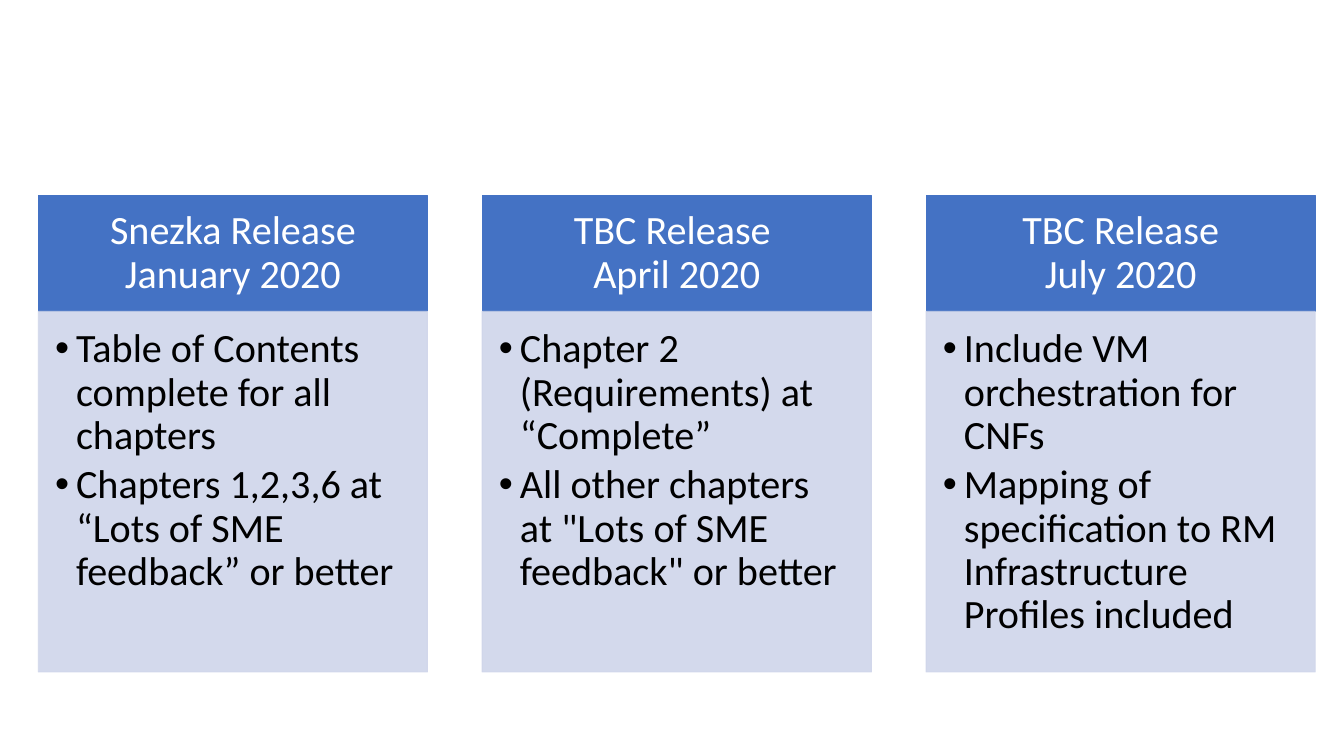
from lxml.etree import SubElement
from pptx import Presentation
from pptx.dml.color import RGBColor
from pptx.enum.shapes import MSO_SHAPE
from pptx.enum.text import MSO_ANCHOR, PP_ALIGN
from pptx.oxml.ns import qn
from pptx.util import Pt

BLUE = RGBColor(0x44, 0x72, 0xC4)
PALE_BLUE = RGBColor(0xCF, 0xD5, 0xEA)
WHITE = RGBColor(0xFF, 0xFF, 0xFF)
BLACK = RGBColor(0, 0, 0)

FONT = "Calibri"
FONT_SIZE = 43
LEFT, PITCH, WIDTH = 41, 475.6, 417
HEADER_TOP, HEADER_HEIGHT, BODY_HEIGHT = 209.5, 124, 386.5
BULLET_INDENT = 22.5

RELEASES = [
    (["Snezka Release", "January 2020"],
     ["Table of Contents complete for all chapters",
      "Chapters 1,2,3,6 at “Lots of SME feedback” or better"]),
    (["TBC Release ", "April 2020"],
     ["Chapter 2 (Requirements) at “Complete”",
      "All other chapters at \"Lots of SME feedback\" or better"]),
    (["TBC Release", "July 2020"],
     ["Include VM orchestration for CNFs",
      "Mapping of specification to RM Infrastructure Profiles included"]),
]


def add_panel(slide, left, top, height, color, anchor, margins):
    """Add a filled rectangle; margins are left, top, right, bottom."""
    sp = slide.shapes.add_shape(
        MSO_SHAPE.RECTANGLE, Pt(left), Pt(top), Pt(WIDTH), Pt(height))
    sp.shadow.inherit = False
    sp.fill.solid()
    sp.fill.fore_color.rgb = color
    sp.line.color.rgb = color
    sp.line.width = Pt(1)
    tf = sp.text_frame
    tf.word_wrap = True
    tf.vertical_anchor = anchor
    tf.margin_left, tf.margin_top, tf.margin_right, tf.margin_bottom = map(Pt, margins)
    return sp


def set_opacity(sp, percent):
    """Apply one opacity to both the fill and the outline."""
    for color in sp._element.spPr.iter(qn("a:srgbClr")):
        SubElement(color, qn("a:alpha"), val=str(percent * 1000))


def format_paragraph(p, align, space_after):
    p.alignment = align
    p.line_spacing = 0.9
    p.space_after = Pt(space_after)


def add_run(p, text, color):
    r = p.add_run()
    r.text = text
    r.font.name = FONT
    r.font.size = Pt(FONT_SIZE)
    r.font.color.rgb = color


def add_bullet(p):
    pPr = p._p.get_or_add_pPr()
    pPr.set("marL", str(Pt(BULLET_INDENT)))
    pPr.set("indent", str(-Pt(BULLET_INDENT)))
    SubElement(pPr, qn("a:buFont"), typeface="Arial")
    SubElement(pPr, qn("a:buChar"), char="•")


def add_header(slide, left, lines):
    sp = add_panel(slide, left, HEADER_TOP, HEADER_HEIGHT, BLUE,
                   MSO_ANCHOR.MIDDLE, (24, 13.5, 24, 13.5))
    p = sp.text_frame.paragraphs[0]
    format_paragraph(p, PP_ALIGN.CENTER, 0.35 * FONT_SIZE)
    for i, line in enumerate(lines):
        if i:
            p.add_line_break()
        add_run(p, line, WHITE)


def add_goals(slide, left, goals):
    sp = add_panel(slide, left, HEADER_TOP + HEADER_HEIGHT, BODY_HEIGHT, PALE_BLUE,
                   MSO_ANCHOR.TOP, (18, 18, 24, 27))
    set_opacity(sp, 90)
    tf = sp.text_frame
    for i, goal in enumerate(goals):
        p = tf.add_paragraph() if i else tf.paragraphs[0]
        p.level = 1
        add_bullet(p)
        format_paragraph(p, PP_ALIGN.LEFT, 0.15 * FONT_SIZE)
        add_run(p, goal, BLACK)


def main():
    prs = Presentation()
    prs.slide_width, prs.slide_height = Pt(1440), Pt(810)
    slide = prs.slides.add_slide(prs.slide_layouts[6])
    for i, (header, goals) in enumerate(RELEASES):
        left = LEFT + i * PITCH
        add_header(slide, left, header)
        add_goals(slide, left, goals)
    prs.save("out.pptx")


if __name__ == "__main__":
    main()
